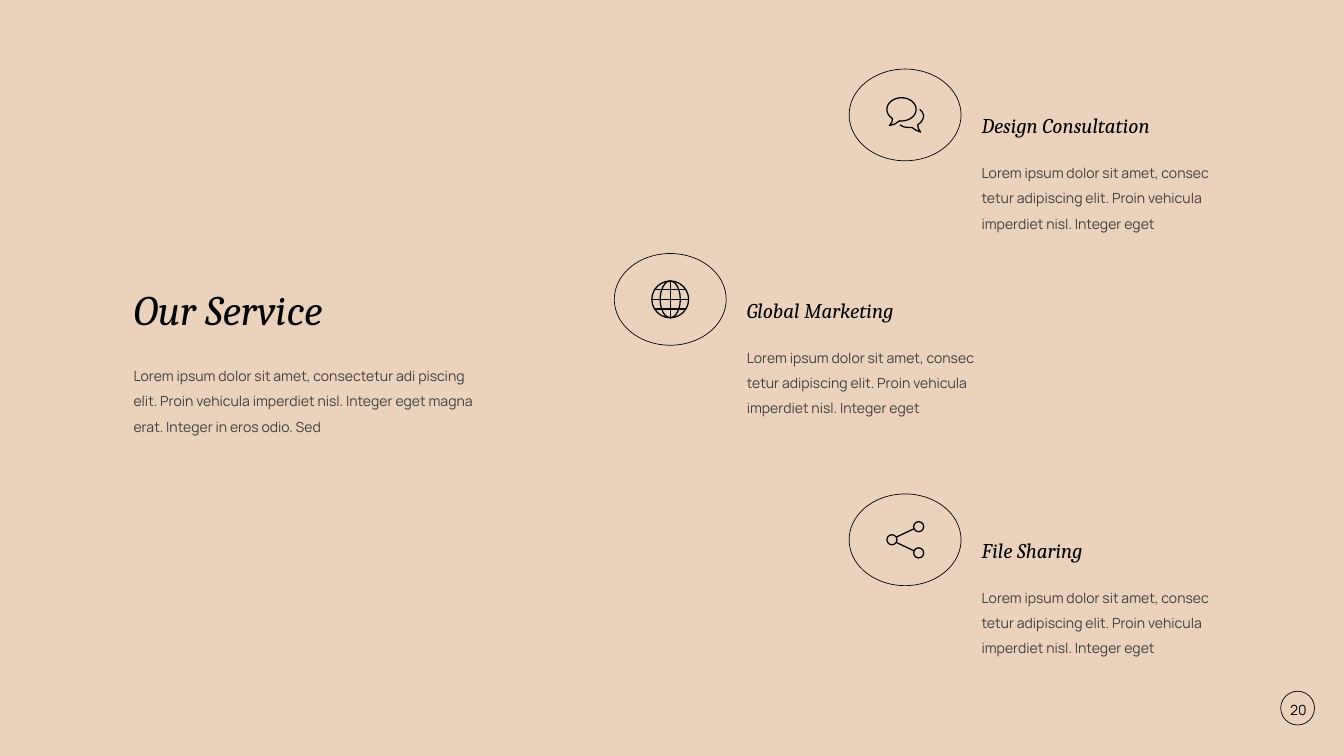
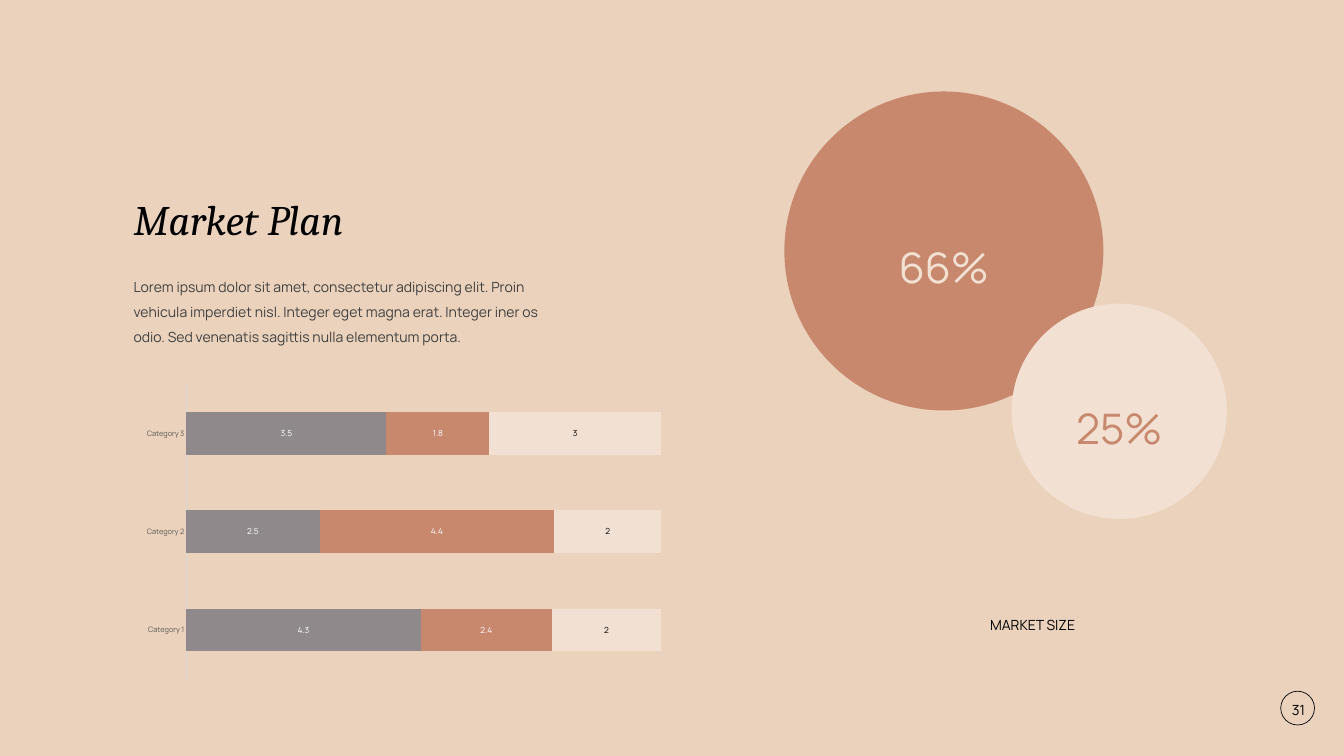
from math import cos, radians, sin

from lxml.etree import SubElement
from pptx import Presentation
from pptx.chart.data import CategoryChartData
from pptx.dml.color import RGBColor
from pptx.enum.chart import XL_CHART_TYPE, XL_LABEL_POSITION, XL_TICK_MARK
from pptx.enum.shapes import MSO_CONNECTOR, MSO_SHAPE
from pptx.enum.text import MSO_ANCHOR, MSO_AUTO_SIZE, PP_ALIGN
from pptx.oxml.ns import qn
from pptx.util import Inches, Pt

# Shared look
SERIF, SANS = "Cambria", "Manrope"
SAND, CREAM, CLAY, STONE = "EBD2BC", "F2E1D2", "C7886E", "8F898B"
BLACK, WHITE, GREY = "000000", "FFFFFF", "404040"
MARGIN = 2.55
ICON_STROKE = 1.8


def color(hex_code):
    return RGBColor.from_string(hex_code)


def write(holder, text, size=20, font=SANS, ink=BLACK, italic=False,
          align=PP_ALIGN.LEFT, anchor=MSO_ANCHOR.TOP):
    frame = holder.text_frame
    frame.word_wrap = True
    frame.auto_size = MSO_AUTO_SIZE.NONE
    frame.vertical_anchor = anchor
    paragraph = frame.paragraphs[0]
    paragraph.alignment = align
    paragraph.line_spacing = 1.5
    paragraph.space_before = Pt(0)
    run = paragraph.add_run()
    run.text = text
    run.font.name, run.font.size = font, Pt(size)
    run.font.italic = italic
    run.font.color.rgb = color(ink)


def add_text(shapes, text, left, top, width, height, **style):
    box = shapes.add_textbox(*map(Inches, (left, top, width, height)))
    write(box, text, **style)


def fill_placeholder(placeholder, text, left, top, width, height, **style):
    placeholder.left, placeholder.top = Inches(left), Inches(top)
    placeholder.width, placeholder.height = Inches(width), Inches(height)
    write(placeholder, text, **style)


def paint(shape, fill=None, line=None, weight=1):
    shape.shadow.inherit = False
    if fill:
        shape.fill.solid()
        shape.fill.fore_color.rgb = color(fill)
    else:
        shape.fill.background()
    if line:
        shape.line.color.rgb = color(line)
        shape.line.width = Pt(weight)
    else:
        shape.line.fill.background()


def add_oval(shapes, center_x, center_y, width, height, **look):
    oval = shapes.add_shape(
        MSO_SHAPE.OVAL, Inches(center_x - width / 2),
        Inches(center_y - height / 2), Inches(width), Inches(height))
    paint(oval, **look)
    return oval


def add_stroke(shapes, x1, y1, x2, y2):
    stroke = shapes.add_connector(
        MSO_CONNECTOR.STRAIGHT, *map(Inches, (x1, y1, x2, y2)))
    stroke.line.color.rgb = color(BLACK)
    stroke.line.width = Pt(ICON_STROKE)
    SubElement(stroke._element.spPr, qn("a:effectLst"))


def add_outline(shapes, x, y, points, close):
    places = [(Inches(x + dx), Inches(y + dy)) for dx, dy in points]
    builder = shapes.build_freeform(*places[0])
    builder.add_line_segments(places[1:], close=close)
    paint(builder.convert_to_shape(), line=BLACK, weight=ICON_STROKE)


# Icons, each drawn around its centre
def draw_chat(shapes, x, y):
    angles = [radians(a) for a in range(128, 463, 6)]
    front = [(-0.07 + 0.29 * cos(a), -0.11 + 0.23 * sin(a)) for a in angles]
    front += [(-0.2, 0.18), (-0.31, 0.21), (-0.26, 0.14)]
    back = [(-0.1, 0.2), (-0.02, 0.24), (0.08, 0.25), (0.14, 0.25),
            (0.21, 0.3), (0.31, 0.34), (0.27, 0.28), (0.25, 0.2),
            (0.32, 0.14), (0.36, 0.07), (0.37, 0.01), (0.34, -0.06),
            (0.29, -0.11)]
    add_outline(shapes, x, y, front, close=True)
    add_outline(shapes, x, y, back, close=False)


def draw_globe(shapes, x, y):
    for width in (0.73, 0.4):
        add_oval(shapes, x, y, width, 0.73, line=BLACK, weight=ICON_STROKE)
    add_stroke(shapes, x, y - 0.37, x, y + 0.37)
    for dy, half in ((-0.19, 0.31), (0, 0.37), (0.19, 0.31)):
        add_stroke(shapes, x - half, y + dy, x + half, y + dy)


def draw_share(shapes, x, y):
    add_oval(shapes, x - 0.26, y, 0.2, 0.2, line=BLACK, weight=ICON_STROKE)
    for side in (-1, 1):
        add_oval(shapes, x + 0.27, y + side * 0.26, 0.2, 0.2,
                 line=BLACK, weight=ICON_STROKE)
        add_stroke(shapes, x - 0.18, y + side * 0.05,
                   x + 0.18, y + side * 0.22)


def start_slide(deck, number, title, title_top, intro, intro_width):
    """Add a slide with title, introduction and page number."""
    slide = deck.slides.add_slide(deck.slide_layouts[1])
    fill_placeholder(slide.shapes.title, title, MARGIN, title_top, 8.78, 1.43,
                     size=60, font=SERIF, italic=True)
    body = slide.placeholders[1]
    properties = body.text_frame.paragraphs[0]._p.get_or_add_pPr()
    properties.set("marL", "0")
    properties.set("indent", "0")
    SubElement(properties, qn("a:buNone"))
    fill_placeholder(body, intro, MARGIN, title_top + 2.01, intro_width, 1.57,
                     ink=GREY)
    add_text(slide.shapes, number, 25.42, 13.72, 0.69, 0.56,
             align=PP_ALIGN.CENTER, anchor=MSO_ANCHOR.MIDDLE)
    add_oval(slide.shapes, 25.75, 14.05, 0.67, 0.67, line=BLACK)
    return slide


def add_service(slide, heading, x, y, draw_icon):
    text_left = x + 1.42
    add_text(slide.shapes,
             "Lorem ipsum dolor sit amet, consec tetur adipiscing elit. "
             "Proin vehicula imperdiet nisl. Integer eget",
             text_left, y + 0.77, 5.35, 1.79, ink=GREY)
    add_text(slide.shapes, heading, text_left, y - 0.34, 5.35, 0.77,
             size=30, font=SERIF, italic=True)
    ring = add_oval(slide.shapes, x, y, 1.82, 2.22, line=BLACK)
    ring.rotation = 90
    draw_icon(slide.shapes.add_group_shape().shapes, x, y)


def add_share_circle(slide, percent, x, y, diameter, fill, ink):
    group = slide.shapes.add_group_shape().shapes
    add_oval(group, x, y, diameter, diameter, fill=fill)
    add_text(group, percent, x - 1.72, y - 0.73, 3.44, 1.47,
             size=60, ink=ink, align=PP_ALIGN.CENTER)


def style_font(font, size, ink):
    font.name, font.size = SANS, Pt(size)
    font.color.rgb = color(ink)


def add_market_chart(slide):
    series_table = [
        ("Series 1", (4.3, 2.5, 3.5), STONE, WHITE),
        ("Series 2", (2.4, 4.4, 1.8), CLAY, WHITE),
        ("Series 3", (2, 2, 3), CREAM, BLACK),
    ]
    data = CategoryChartData()
    data.categories = ["Category 1", "Category 2", "Category 3"]
    for name, values, _, _ in series_table:
        data.add_series(name, values)
    chart = slide.shapes.add_chart(
        XL_CHART_TYPE.BAR_STACKED_100,
        *map(Inches, (2.7, 7.5, 10.63, 6.1)), data).chart
    chart.has_title = chart.has_legend = False
    style_font(chart.font, 10, BLACK)

    # Bars and their values
    plot = chart.plots[0]
    plot.gap_width, plot.overlap = 131, 100
    plot.vary_by_categories = False
    for series, (_, _, fill, ink) in zip(plot.series, series_table):
        series.format.fill.solid()
        series.format.fill.fore_color.rgb = color(fill)
        labels = series.data_labels
        labels.show_value = True
        labels.position = XL_LABEL_POSITION.CENTER
        style_font(labels.font, 12, ink)

    # Axes
    categories, scale = chart.category_axis, chart.value_axis
    categories.major_tick_mark = XL_TICK_MARK.NONE
    categories.minor_tick_mark = XL_TICK_MARK.NONE
    categories.format.line.color.rgb = color("D9D9D9")
    categories.format.line.width = Pt(0.75)
    style_font(categories.tick_labels.font, 10.6, "595959")
    scale.has_major_gridlines = False
    scale.visible = False


def main():
    deck = Presentation()
    deck.slide_width, deck.slide_height = Inches(26.67), Inches(15)
    backdrop = deck.slide_master.background.fill
    backdrop.solid()
    backdrop.fore_color.rgb = color(SAND)

    # Our Service
    service = start_slide(
        deck, "20", "Our Service", 5.07,
        "Lorem ipsum dolor sit amet, consectetur adi piscing elit. Proin "
        "vehicula imperdiet nisl. Integer eget magna erat. Integer in eros "
        "odio. Sed", 6.96)
    add_service(service, "Design Consultation", 17.96, 2.28, draw_chat)
    add_service(service, "Global Marketing", 13.3, 5.94, draw_globe)
    add_service(service, "File Sharing", 17.96, 10.71, draw_share)

    # Market Plan
    market = start_slide(
        deck, "31", "Market Plan", 3.29,
        "Lorem ipsum dolor sit amet, consectetur adipiscing elit. Proin "
        "vehicula imperdiet nisl. Integer eget magna erat. Integer iner os "
        "odio. Sed venenatis sagittis nulla elementum porta.", 8.78)
    add_market_chart(market)
    add_share_circle(market, "66%", 18.73, 4.98, 6.33, CLAY, CREAM)
    add_share_circle(market, "25%", 22.21, 8.16, 4.27, CREAM, CLAY)
    add_text(market.shapes, "MARKET SIZE", 18.45, 12.02, 4.08, 0.56,
             align=PP_ALIGN.CENTER)

    deck.save("out.pptx")


if __name__ == "__main__":
    main()
